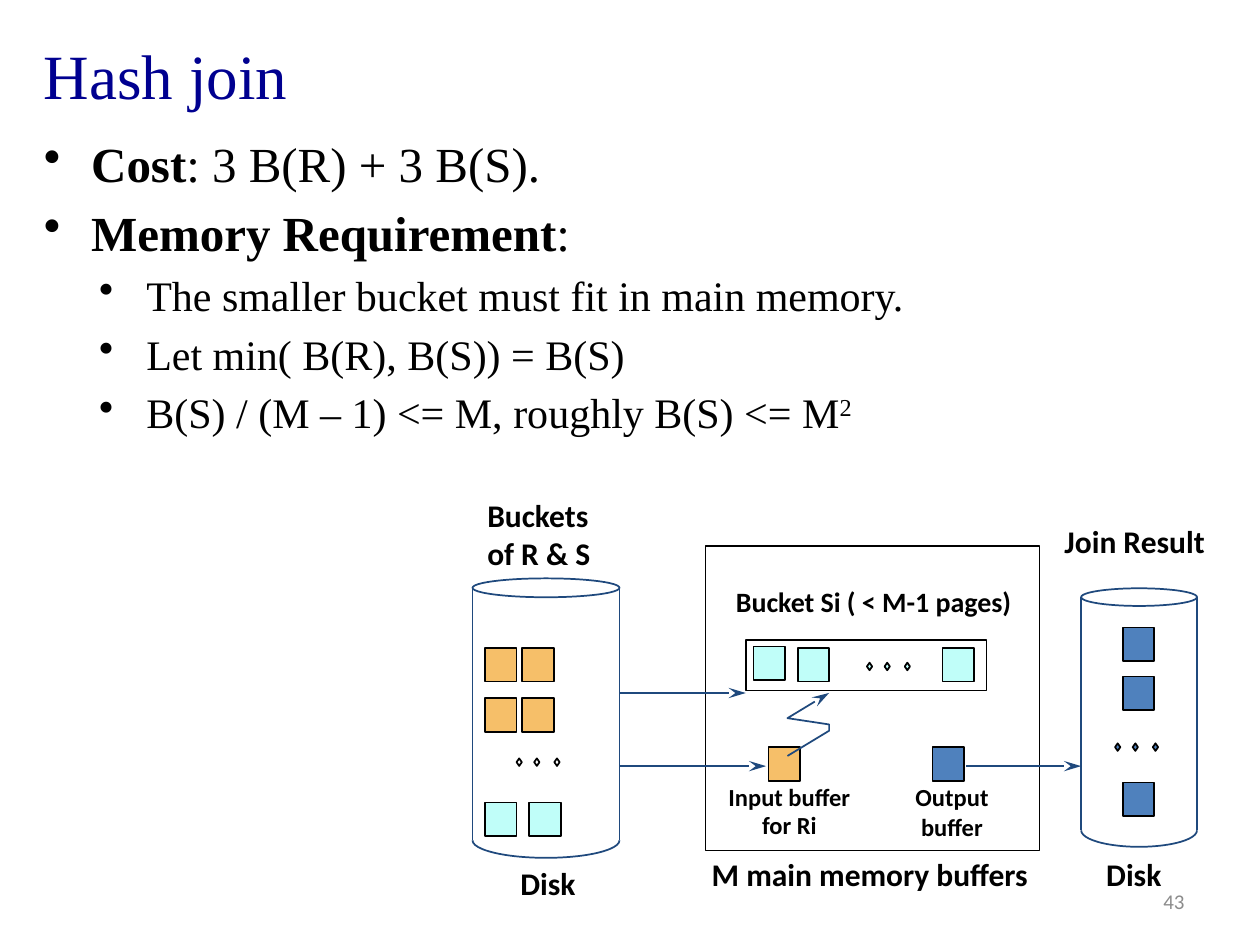
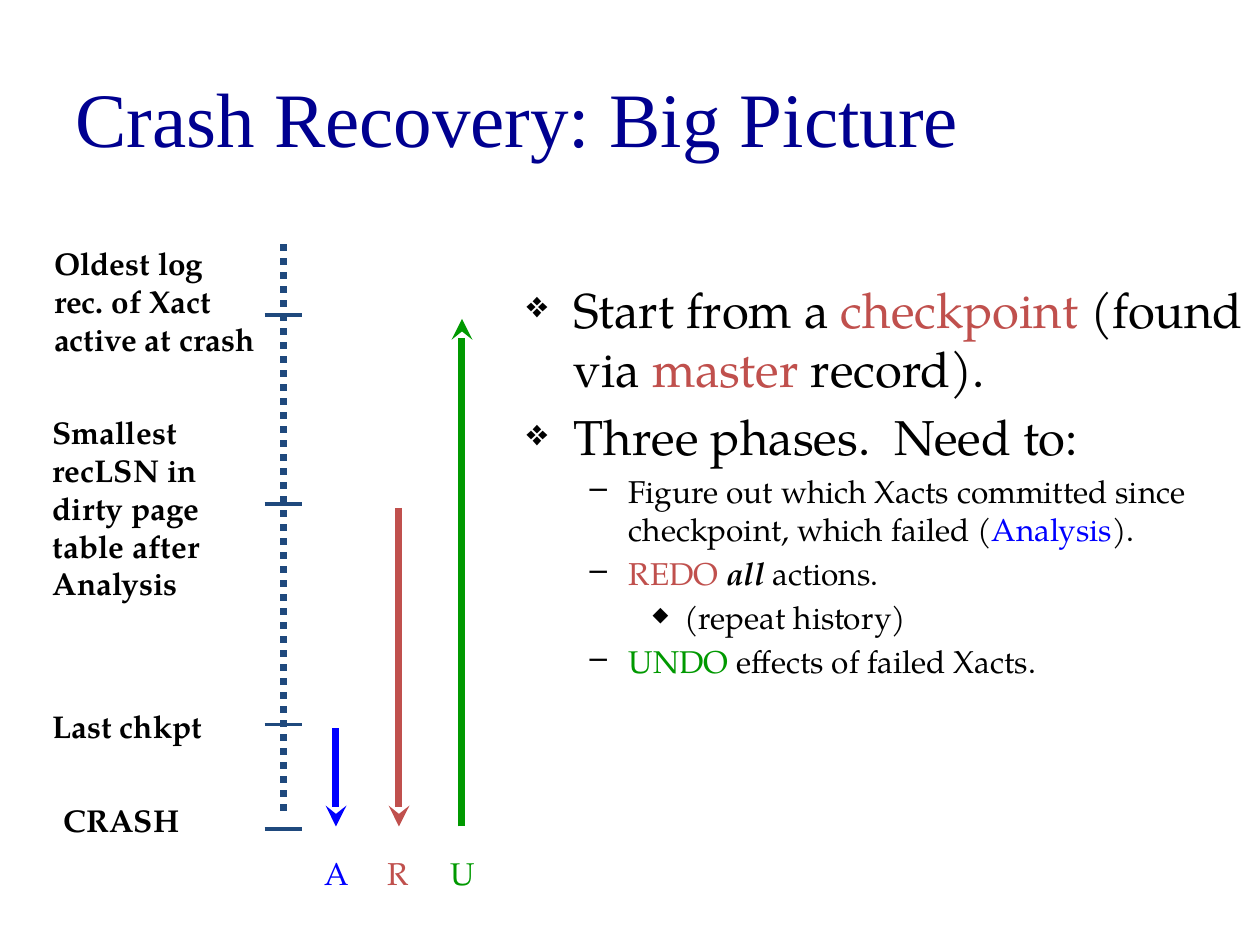
import itertools
from dataclasses import dataclass

import lxml.etree
import pptx
import pptx.dml.color
import pptx.enum.dml
import pptx.enum.shapes
import pptx.enum.text
import pptx.oxml.ns
import pptx.util

Pt = pptx.util.Pt
RGBColor = pptx.dml.color.RGBColor
MSO_SHAPE = pptx.enum.shapes.MSO_SHAPE
PP_ALIGN = pptx.enum.text.PP_ALIGN
MSO_ANCHOR = pptx.enum.text.MSO_ANCHOR
qn = pptx.oxml.ns.qn

BLACK = RGBColor(0x00, 0x00, 0x00)
TITLE_BLUE = RGBColor(0x00, 0x00, 0x90)
NAVY = RGBColor(0x1F, 0x49, 0x7D)
BLUE = RGBColor(0x4F, 0x81, 0xBD)
ORANGE = RGBColor(0xF6, 0xBF, 0x69)
MINT = RGBColor(0xC0, 0xFE, 0xF9)
GRAY = RGBColor(0x8C, 0x8C, 0x8C)
ANALYSIS_BLUE = RGBColor(0x00, 0x00, 0xFF)
REDO_RED = RGBColor(0xC0, 0x50, 0x4D)
UNDO_GREEN = RGBColor(0x00, 0x99, 0x00)

SERIF = "Times New Roman"
SANS = "Calibri"
BOOK = "TeX Gyre Pagella"


@dataclass
class Bullet:
    level: int
    character: str
    margin: float
    hanging: float
    size: float
    percent: int = 100


# Bullet styles of the two slides
ROUND_MAIN = Bullet(0, "•", 27, 27, 28)
ROUND_SUB = Bullet(1, "•", 58.5, 27, 24)
STAR = Bullet(0, "❖", 27, 27, 28, 75)
DASH = Bullet(1, "–", 58.5, 22.5, 18)
DIAMOND = Bullet(2, "◆", 90, 18, 18, 65)


@dataclass
class Run:
    text: str
    color: RGBColor = None
    bold: bool = None
    italic: bool = None
    superscript: bool = False


class Deck:
    """Holds the style and the current slide."""

    def __init__(self):
        self.presentation = pptx.Presentation()
        self.presentation.slide_width = Pt(720)
        self.presentation.slide_height = Pt(540)
        self.slide = None

    def new_slide(self, title, box, size):
        self.slide = self.presentation.slides.add_slide(self.presentation.slide_layouts[6])
        self.text(title, box, size, SERIF, TITLE_BLUE, anchor=MSO_ANCHOR.MIDDLE)

    def text_frame(self, box, wrap=True, anchor=MSO_ANCHOR.TOP):
        shape = self.slide.shapes.add_textbox(*map(Pt, box))
        frame = shape.text_frame
        frame.word_wrap = wrap
        frame.vertical_anchor = anchor
        return frame

    def set_font(self, paragraph, size, name, color, bold=None):
        font = paragraph.font
        font.size, font.name, font.bold = Pt(size), name, bold
        font.color.rgb = color

    def text(self, words, box, size, name, color=BLACK, bold=None, wrap=True,
             align=PP_ALIGN.LEFT, anchor=MSO_ANCHOR.TOP):
        frame = self.text_frame(box, wrap, anchor)
        frame.text = words
        for paragraph in frame.paragraphs:
            paragraph.alignment = align
            self.set_font(paragraph, size, name, color, bold)
        return frame

    def label(self, words, box, size=18, align=PP_ALIGN.LEFT):
        return self.text(words, box, size, SANS, bold=True, wrap=False, align=align)

    def bullets(self, box, name, items):
        frame = self.text_frame(box)
        for index, (bullet, runs) in enumerate(items):
            paragraph = frame.add_paragraph() if index else frame.paragraphs[0]
            paragraph.level = bullet.level
            if index:
                paragraph.space_before = Pt(round(bullet.size * 0.2, 1))
            properties = paragraph._p.get_or_add_pPr()
            properties.set("marL", str(Pt(bullet.margin)))
            properties.set("indent", str(-Pt(bullet.hanging)))
            color = lxml.etree.SubElement(properties, qn("a:buClr"))
            lxml.etree.SubElement(color, qn("a:srgbClr"), val=str(BLACK))
            lxml.etree.SubElement(properties, qn("a:buSzPct"), val=str(bullet.percent * 1000))
            lxml.etree.SubElement(properties, qn("a:buChar"), char=bullet.character)
            self.set_font(paragraph, bullet.size, name, BLACK)
            for item in runs:
                self.run(paragraph, item)

    def run(self, paragraph, item):
        run = paragraph.add_run()
        run.text = item.text
        run.font.bold, run.font.italic = item.bold, item.italic
        if item.color is not None:
            run.font.color.rgb = item.color
        if item.superscript:
            run._r.get_or_add_rPr().set("baseline", "30000")

    def outline(self, shape, color, fill=None):
        shape.shadow.inherit = False
        if fill is None:
            shape.fill.background()
        else:
            shape.fill.solid()
            shape.fill.fore_color.rgb = fill
        shape.line.color.rgb = color
        shape.line.width = Pt(1)

    def shape(self, kind, box, fill=None, line=BLACK):
        shape = self.slide.shapes.add_shape(kind, *map(Pt, box))
        self.outline(shape, line, fill)
        return shape

    def page(self, left, top, fill):
        self.shape(MSO_SHAPE.RECTANGLE, (left, top, 18, 19.3), fill)

    def ellipsis(self, left, top, fill=None):
        for offset in (0, 10.1, 21.6):
            self.shape(MSO_SHAPE.DIAMOND, (left + offset, top, 3, 4.3), fill)

    def arrowhead(self, shape, length):
        line = shape._element.spPr.find(qn("a:ln"))
        lxml.etree.SubElement(line, qn("a:tailEnd"), type="stealth", len=length)

    def line(self, start, end, color=NAVY, width=1, arrow=None, dash=None):
        connector = self.slide.shapes.add_connector(
            pptx.enum.shapes.MSO_CONNECTOR.STRAIGHT, *map(Pt, start + end))
        connector.line.color.rgb = color
        connector.line.width = Pt(width)
        if dash is not None:
            connector.line.dash_style = dash
        if arrow is not None:
            self.arrowhead(connector, arrow)
        lxml.etree.SubElement(connector._element.spPr, qn("a:effectLst"))

    def zigzag(self, points):
        start, *others = [tuple(map(Pt, point)) for point in points]
        builder = self.slide.shapes.build_freeform(*start)
        builder.add_line_segments(others, close=False)
        shape = builder.convert_to_shape()
        self.outline(shape, NAVY)
        self.arrowhead(shape, "lg")

    def disk(self, left, top, width, bottom, lid, base):
        """Cylinder: oval lid, straight sides, half-oval base."""
        self.shape(MSO_SHAPE.OVAL, (left, top, width, lid), line=NAVY)
        for side in (left, left + width):
            self.line((side, top + lid / 2), (side, bottom))
        arc = self.shape(MSO_SHAPE.ARC, (left, bottom - base / 2, width, base), line=NAVY)
        arc.adjustments[0] = 0
        arc.adjustments[1] = 108


def hash_join(deck):
    deck.new_slide("Hash join", (18, 3.6, 687.6, 77.8), 36)
    deck.bullets((18, 72.7, 687.6, 437.8), SERIF, [
        (ROUND_MAIN, [Run("Cost", bold=True), Run(": 3 B(R) + 3 B(S).")]),
        (ROUND_MAIN, [Run("Memory Requirement", bold=True), Run(":")]),
        (ROUND_SUB, [Run("The smaller bucket must fit in main memory.")]),
        (ROUND_SUB, [Run("Let min( B(R), B(S)) = B(S)")]),
        (ROUND_SUB, [Run("B(S) / (M – 1) <= M, roughly B(S) <= M"), Run("2", superscript=True)]),
    ])
    deck.text("43", (516.2, 500.4, 167.8, 28.8), 12, SANS, GRAY,
              align=PP_ALIGN.RIGHT, anchor=MSO_ANCHOR.MIDDLE)

    # Main memory and the bucket held in it
    deck.shape(MSO_SHAPE.RECTANGLE, (403.2, 311.8, 190.8, 174.2))
    deck.shape(MSO_SHAPE.RECTANGLE, (426.2, 365.8, 137.5, 28.8))

    # Disks
    deck.disk(270, 330.5, 84, 480.2, 10.8, 20)
    deck.disk(617.8, 336.2, 66.2, 474.5, 10.1, 18.8)

    # Pages
    bucket_pages = list(itertools.product((277.2, 298.4), (370.1, 398.9)))
    pages = {
        ORANGE: bucket_pages + [(439.2, 427)],
        MINT: [(277.2, 458.6), (302.4, 458.6), (430.6, 369.4), (455.8, 370.1), (538.6, 370.1)],
        BLUE: [(532.8, 427), (641.5, 358.6), (641.5, 386.6), (641.5, 447.1)],
    }
    for fill, places in pages.items():
        for left, top in places:
            deck.page(left, top, fill)
    deck.ellipsis(295.2, 433.4)
    deck.ellipsis(495.4, 378.7, MINT)
    deck.ellipsis(637.2, 424.8, BLUE)

    # Data flow
    for left, right, height in ((354.2, 426.2, 396), (354.2, 437.8, 437.8), (552.2, 617.8, 437.8)):
        deck.line((left, height), (right, height), arrow="lg")
    deck.zigzag([(450, 432), (473.8, 417.6), (473.8, 414), (450, 410.4), (473.8, 396)])

    # Labels
    deck.label("Buckets\nof R & S", (271.4, 280.1, 74.2, 51.1))
    deck.label("Join Result", (601.2, 294.5, 100.8, 28.8))
    deck.label("M main memory buffers", (399.6, 485.3, 198, 28.8))
    deck.label("Disk", (290.2, 490.3, 49.7, 28.8))
    deck.label("Disk", (625, 485.3, 49.7, 28.8))
    deck.label("Bucket Si ( < M-1 pages)", (411.8, 330.5, 175, 26.6), 16, PP_ALIGN.CENTER)
    deck.label("Output\nbuffer", (509, 443.5, 70, 41), 14, PP_ALIGN.CENTER)
    input_label = deck.label("Input buffer\nfor Ri", (406.8, 450.7, 88.6, 32.4), 14, PP_ALIGN.CENTER)
    input_label.paragraphs[0].line_spacing = 0.5


def crash_recovery(deck):
    deck.new_slide("Crash Recovery: Big Picture", (36, 21.6, 648, 90), 44)
    deck.bullets((293.8, 156.2, 426.2, 321.1), BOOK, [
        (STAR, [Run("Start from a "), Run("checkpoint", REDO_RED), Run(" (found via "),
                Run("master", REDO_RED), Run(" record).")]),
        (STAR, [Run("Three phases.  Need to:")]),
        (DASH, [Run("Figure out which Xacts committed since checkpoint, which failed ("),
                Run("Analysis", ANALYSIS_BLUE), Run(").")]),
        (DASH, [Run("REDO ", REDO_RED), Run("all", bold=True, italic=True), Run(" actions.")]),
        (DIAMOND, [Run("(repeat history)")]),
        (DASH, [Run("UNDO", UNDO_GREEN), Run(" effects of failed Xacts.")]),
    ])

    # Log with its marked points
    deck.line((162, 139.7), (162, 465.8), width=4, dash=pptx.enum.dml.MSO_LINE.ROUND_DOT)
    log_points = [
        ("Oldest log rec. of Xact active at crash", 23.8, 136.1, 72.7, 180),
        ("Smallest recLSN in dirty page table after Analysis", 23, 232.6, 115.9, 288),
        ("Last chkpt", 23, 400.3, 29.5, 414),
        ("CRASH", 29.5, 454.3, 29.5, 473.8),
    ]
    for words, left, top, height, tick in log_points:
        deck.text(words, (left, top, 132.5, height), 18, BOOK, bold=True)
        deck.line((151.2, tick), (172.8, tick), width=2)

    # Phases: Analysis and Redo run forward, Undo runs back
    phases = [
        ("A", ANALYSIS_BLUE, 416.2, 472.3),
        ("R", REDO_RED, 290.2, 472.3),
        ("U", UNDO_GREEN, 472.3, 182.2),
    ]
    for index, (letter, color, start, end) in enumerate(phases):
        center = 192 + 36 * index
        deck.line((center, start), (center, end), color, 4, arrow="med")
        deck.text(letter, (center - 13.4, 484.6, 32, 36.7), 18, BOOK, color, wrap=False)


def main():
    deck = Deck()
    hash_join(deck)
    crash_recovery(deck)
    deck.presentation.save("out.pptx")


if __name__ == "__main__":
    main()
